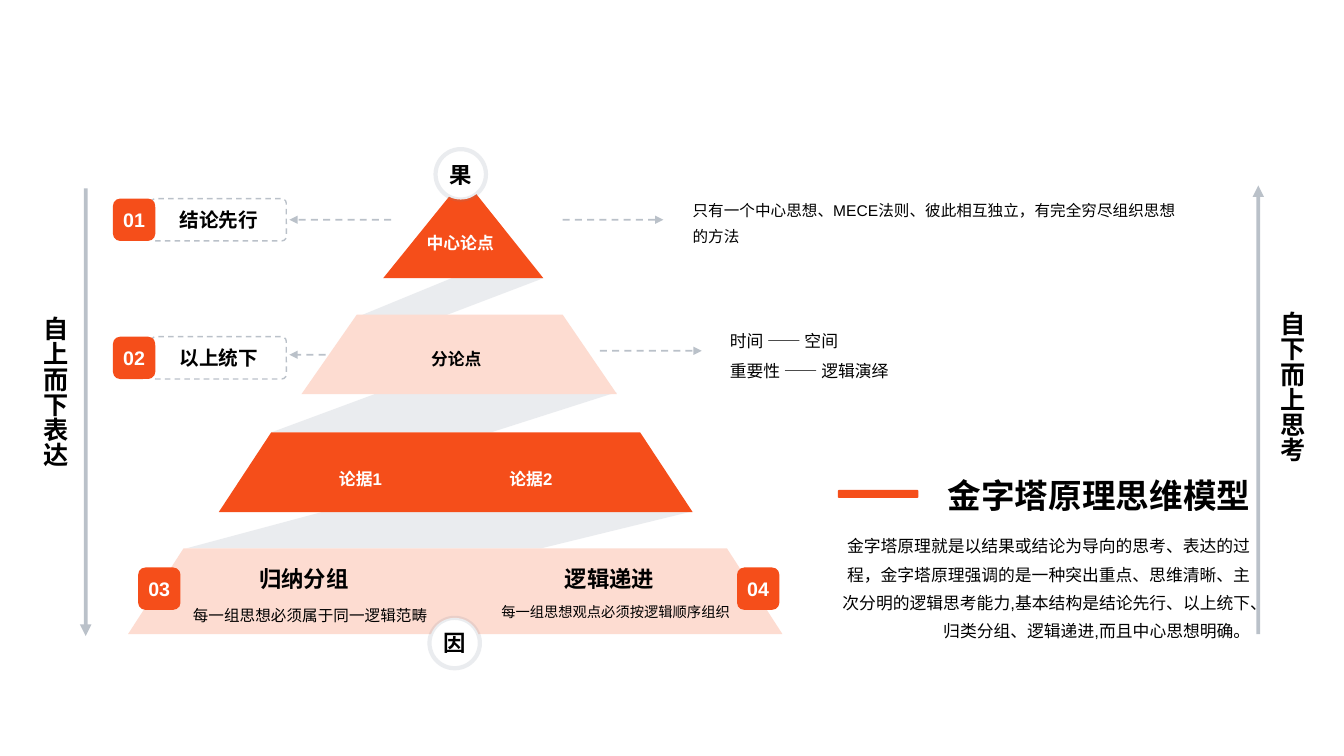
from lxml import etree
from pptx import Presentation
from pptx.dml.color import RGBColor
from pptx.enum.dml import MSO_LINE
from pptx.enum.shapes import MSO_CONNECTOR, MSO_SHAPE
from pptx.enum.text import MSO_ANCHOR as ANCHOR, MSO_AUTO_SIZE, PP_ALIGN as ALIGN
from pptx.oxml.ns import qn
from pptx.util import Inches, Pt

ORANGE = RGBColor(0xF5, 0x4E, 0x1A)
PEACH = RGBColor(0xFD, 0xDC, 0xD1)
SLATE = RGBColor(0x77, 0x84, 0x95)
BLACK = RGBColor(0, 0, 0)
WHITE = RGBColor(255, 255, 255)
FONT = "Arial"


def set_opacity(element, percent):
    for color in element.iter(qn("a:srgbClr")):
        etree.SubElement(color, qn("a:alpha")).set("val", str(percent * 1000))


def set_text(sp, text, size, color=BLACK, bold=False, align=ALIGN.LEFT,
             anchor=ANCHOR.TOP, spacing=None, wrap=True):
    tf = sp.text_frame
    tf.word_wrap = wrap
    tf.vertical_anchor = anchor
    tf.text = text
    for p in tf.paragraphs:
        p.alignment = align
        if spacing:
            p.line_spacing = spacing
        p.font.name, p.font.size, p.font.bold = FONT, Pt(size), bold
        p.font.color.rgb = color


def add_text(slide, x, y, w, h, text, size, **style):
    sp = slide.shapes.add_textbox(Inches(x), Inches(y), Inches(w), Inches(h))
    set_text(sp, text, size, **style)
    return sp


def style_shape(sp, fill=None, line=None, width=1):
    sp.shadow.inherit = False
    if fill is None:
        sp.fill.background()
    else:
        sp.fill.solid()
        sp.fill.fore_color.rgb = fill
    if line is None:
        sp.line.fill.background()
    else:
        sp.line.color.rgb = line
        sp.line.width = Pt(width)


def add_box(slide, kind, x, y, w, h, **style):
    sp = slide.shapes.add_shape(kind, Inches(x), Inches(y), Inches(w), Inches(h))
    style_shape(sp, **style)
    return sp


def add_arrow(slide, x1, y1, x2, y2, width=1.25, dashed=True):
    cx = slide.shapes.add_connector(MSO_CONNECTOR.STRAIGHT, Inches(x1), Inches(y1),
                                    Inches(x2), Inches(y2))
    cx.line.color.rgb = SLATE
    cx.line.width = Pt(width)
    if dashed:
        cx.line.dash_style = MSO_LINE.DASH
    sp_pr = cx.element.spPr
    set_opacity(sp_pr, 50)
    etree.SubElement(sp_pr.find(qn("a:ln")), qn("a:tailEnd")).set("type", "triangle")
    etree.SubElement(sp_pr, qn("a:effectLst"))


def add_badge(slide, x, y, number):
    sp = add_box(slide, MSO_SHAPE.ROUNDED_RECTANGLE, x, y, 0.42, 0.42, fill=ORANGE)
    sp.adjustments[0] = 0.17
    set_text(sp, number, 14, color=WHITE, bold=True, align=ALIGN.CENTER,
             anchor=ANCHOR.MIDDLE, wrap=False)


def add_disc(slide, x, y, text):
    sp = add_box(slide, MSO_SHAPE.OVAL, x, y, 0.5, 0.5, fill=WHITE, line=SLATE, width=3)
    set_opacity(sp.element.spPr.find(qn("a:ln")), 15)
    set_text(sp, text, 16, bold=True, align=ALIGN.CENTER, anchor=ANCHOR.MIDDLE, wrap=False)


def add_callout(slide, x, y, number, text):
    """Numbered badge overlapping the left end of a dashed label."""
    sp = add_box(slide, MSO_SHAPE.ROUNDED_RECTANGLE, x + 0.38, y, 1.34, 0.42, line=SLATE)
    sp.adjustments[0] = 0.11
    sp.line.dash_style = MSO_LINE.DASH
    set_opacity(sp.element.spPr, 50)
    set_text(sp, text, 14, bold=True, align=ALIGN.CENTER, anchor=ANCHOR.MIDDLE)
    add_badge(slide, x, y, number)


def add_band(slide, x, y, top, top_left, top_right, bottom, bottom_left, bottom_right, fill):
    corners = [(top_left, top), (top_right, top), (bottom_right, bottom), (bottom_left, bottom)]
    points = [(Inches(x + dx), Inches(y + dy)) for dx, dy in corners]
    builder = slide.shapes.build_freeform(*points[0], scale=1.0)
    builder.add_line_segments(points[1:], close=True)
    sp = builder.convert_to_shape()
    style_shape(sp, fill=fill)
    if fill == SLATE:
        set_opacity(sp.element.spPr, 15)


def add_pyramid(slide, x, y):
    bands = [
        (0.99, 3.21, 4.12, 1.36, 2.31, 3.15, SLATE),
        (2.12, 2.5, 4.85, 2.52, 1.42, 3.6, SLATE),
        (3.3, 1.96, 5.61, 3.67, 0.58, 4.1, SLATE),
        (3.67, 0.55, 5.94, 4.52, 0, 6.49, PEACH),
        (1.35, 2.27, 4.31, 2.14, 1.72, 4.85, PEACH),
        (2.52, 1.42, 5.08, 3.31, 0.9, 5.6, ORANGE),
        (0, 3.33, 3.33, 0.99, 2.53, 4.12, ORANGE),
    ]
    for band in bands:
        add_band(slide, x, y, *band)

    labels = [
        (2.45, 0.49, "中心论点", WHITE),
        (2.41, 1.64, "分论点", BLACK),
        (1.46, 2.83, "论据1", WHITE),
        (3.15, 2.83, "论据2", WHITE),
    ]
    for dx, dy, text, color in labels:
        add_text(slide, x + dx, y + dy, 1.69, 0.3, text, 12, color=color, bold=True,
                 align=ALIGN.CENTER)

    add_disc(slide, x + 3.05, y - 0.29, "果")
    add_disc(slide, x + 2.99, y + 4.36, "因")

    groups = [
        (0.43, 0.1, "03", "归纳分组", "每一组思想必须属于同一逻辑范畴", 11.1, 1.5),
        (3.46, 6.04, "04", "逻辑递进", "每一组思想观点必须按逻辑顺序组织", 10.2, 1.4),
    ]
    for dx, badge_dx, number, heading, detail, size, spacing in groups:
        add_text(slide, x + dx + 0.06, y + 4.1, 2.63, 0.39, detail, size,
                 align=ALIGN.CENTER, spacing=spacing)
        add_text(slide, x + dx, y + 3.78, 2.63, 0.37, heading, 16, bold=True,
                 align=ALIGN.CENTER, anchor=ANCHOR.BOTTOM)
        add_badge(slide, x + badge_dx, y + 3.86, number)


def add_notes_beside_pyramid(slide, x, y):
    """Callouts to the left of the upper tiers, explanations to the right."""
    add_callout(slide, x, y, "01", "结论先行")
    add_callout(slide, x, y + 1.37, "02", "以上统下")
    for x1, x2, dy in [(2.76, 1.75, 0.21), (4.46, 5.46, 0.21),
                       (2.11, 1.75, 1.55), (4.83, 5.84, 1.51)]:
        add_arrow(slide, x + x1, y + dy, x + x2, y + dy)
    add_text(slide, x + 5.65, y - 0.09, 5.09, 0.6,
             "只有一个中心思想、MECE法则、彼此相互独立，有完全穷尽组织思想的方法",
             11.1, anchor=ANCHOR.MIDDLE, spacing=1.4)
    add_text(slide, x + 6.02, y + 1.21, 5.09, 0.6, "时间 —— 空间\n重要性 —— 逻辑演绎",
             12, anchor=ANCHOR.MIDDLE, spacing=1.5)


def add_summary(slide, x, y, w):
    title = slide.shapes.title
    title.left, title.top, title.width, title.height = map(Inches, (x, y, w, 0.76))
    set_text(title, "金字塔原理思维模型", 24, bold=True, align=ALIGN.RIGHT, anchor=ANCHOR.BOTTOM)
    title.text_frame.auto_size = MSO_AUTO_SIZE.NONE
    accent = add_box(slide, MSO_SHAPE.ROUNDED_RECTANGLE, x + 0.15, y + 0.46, 0.8, 0.08,
                     fill=ORANGE)
    accent.adjustments[0] = 0.17
    add_text(slide, x, y + 0.79, w, 1.09,
             "金字塔原理就是以结果或结论为导向的思考、表达的过程，金字塔原理强调的是一种突出重点、"
             "思维清晰、主次分明的逻辑思考能力,基本结构是结论先行、以上统下、归类分组、逻辑递进,"
             "而且中心思想明确。", 12, align=ALIGN.RIGHT, spacing=1.4)


def add_direction(slide, x, start, end, label_x, label_y, text):
    """Long vertical arrow with vertical text next to it."""
    add_arrow(slide, x, start, x, end, width=2.75, dashed=False)
    sp = add_text(slide, label_x, label_y, 0.52, 1.64, text, 18, bold=True,
                  align=ALIGN.RIGHT, anchor=ANCHOR.MIDDLE)
    tf = sp.text_frame
    tf.margin_left = tf.margin_right = Inches(0.08)
    tf.margin_top = tf.margin_bottom = 0
    sp.element.txBody.find(qn("a:bodyPr")).set("vert", "eaVert")


def main():
    prs = Presentation()
    prs.slide_width, prs.slide_height = Inches(13.33), Inches(7.5)
    slide = prs.slides.add_slide(prs.slide_layouts[5])
    add_direction(slide, 12.48, 6.29, 1.84, 12.56, 3.09, "自下而上思考")
    add_summary(slide, 8.16, 4.4, 4.34)
    add_notes_beside_pyramid(slide, 1.12, 1.97)
    add_pyramid(slide, 1.27, 1.77)
    add_direction(slide, 0.85, 1.87, 6.31, 0.29, 3.14, "自上而下表达")
    prs.save("out.pptx")


if __name__ == "__main__":
    main()
